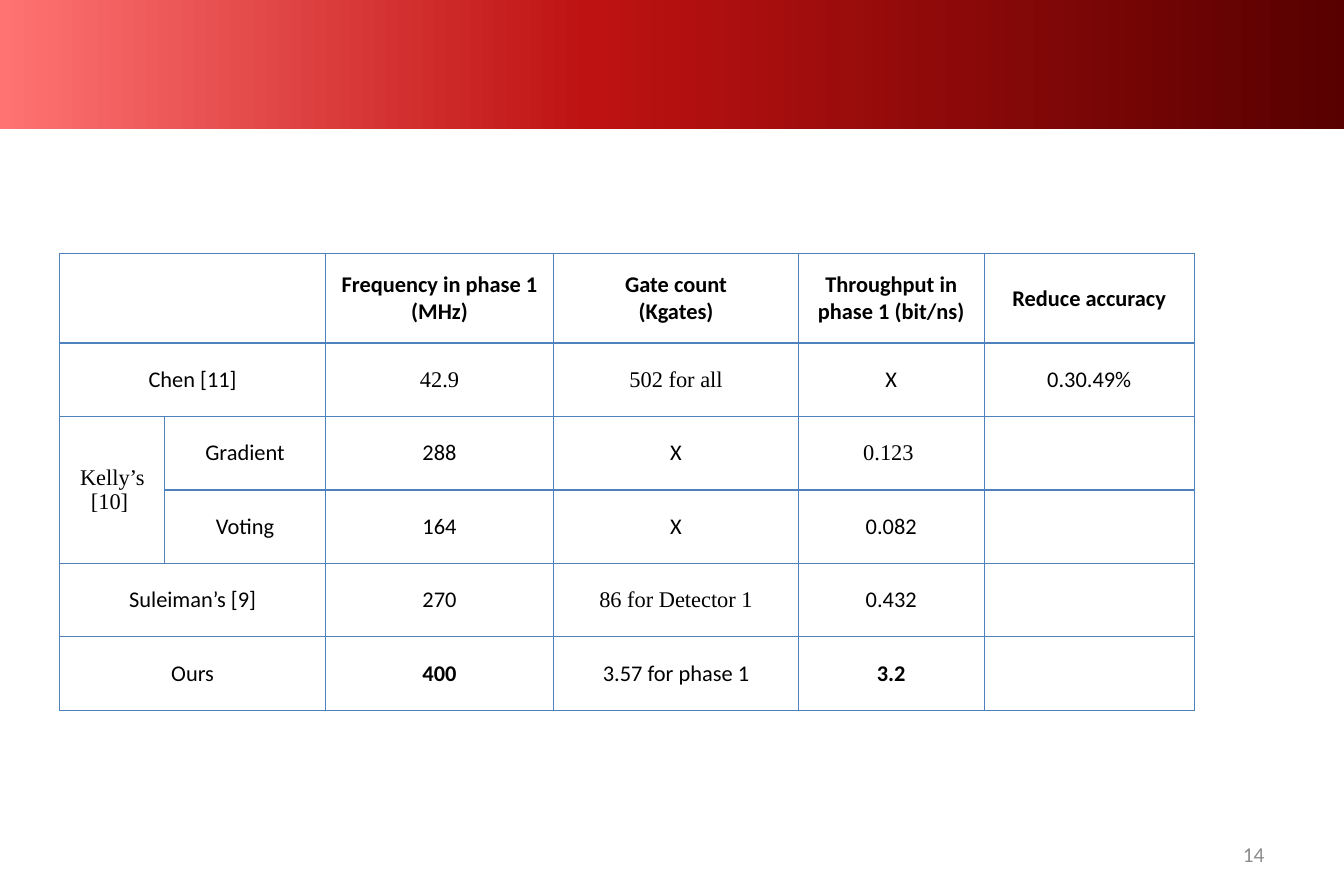
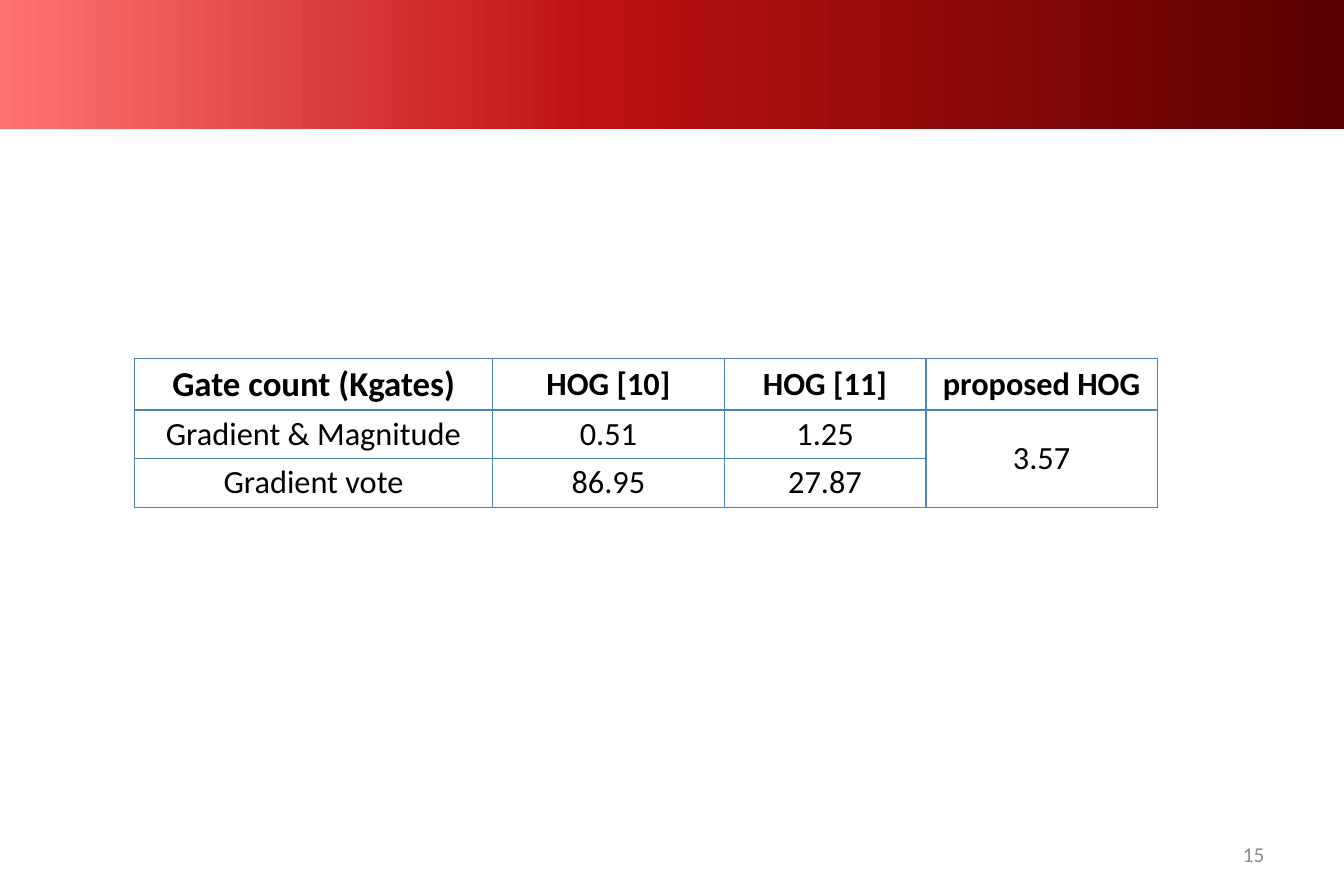
from lxml.etree import SubElement
from pptx import Presentation
from pptx.dml.color import RGBColor
from pptx.enum.shapes import MSO_SHAPE
from pptx.enum.text import MSO_ANCHOR, PP_ALIGN
from pptx.oxml.ns import qn
from pptx.util import Cm, Pt

RECTANGLE = MSO_SHAPE.RECTANGLE
MIDDLE = MSO_ANCHOR.MIDDLE
CENTER, RIGHT = PP_ALIGN.CENTER, PP_ALIGN.RIGHT

# Shared look
COLORS = {
    "band_light": "FF7373",
    "band_mid": "BE1212",
    "band_dark": "580000",
    "border": "4F81BD",
    "cell": "FFFFFF",
    "text": "000000",
    "number": "8C8C8C",
}
BAND_STOPS = ((0, "band_light"), (44, "band_mid"), (100, "band_dark"))
SANS, SERIF = "Calibri", "Times New Roman"
SLIDE_WIDTH, SLIDE_HEIGHT = Cm(38.1), Cm(25.4)
BAND_HEIGHT = Cm(3.66)
THIN, THICK = Pt(1), Pt(1.5)

# Content: None marks a cell covered by a merge, "\n" a new paragraph
COMPARISON = {
    "position": (1.7, 7.19),
    "columns": (2.97, 4.55, 6.48, 6.93, 5.27, 5.96),
    "row_heights": (2.54, 2.08),
    "size": 18,
    "rows": (
        ("", None, "Frequency in phase 1 (MHz)", "Gate count\n(Kgates)",
         "Throughput in phase 1 (bit/ns)", "Reduce accuracy"),
        ("Chen [11]", None, "42.9", "502 for all", "X", "0.30.49%"),
        ("Kelly’s [10] ", "Gradient", "288", "X", "0.123 ", ""),
        (None, "Voting", "164", "X", "0.082", ""),
        ("Suleiman’s [9]", None, "270", "86 for Detector 1", "0.432", ""),
        ("Ours", None, "400", "3.57 for phase 1", "3.2", ""),
    ),
    "merges": (((0, 0), (0, 1)), ((1, 0), (1, 1)), ((2, 0), (3, 0)),
               ((4, 0), (4, 1)), ((5, 0), (5, 1))),
    "formats": {
        (1, 2): {"name": SERIF},
        (1, 3): {"name": SERIF},
        (2, 0): {"name": SERIF},
        (2, 4): {"name": SERIF},
        (4, 3): {"name": SERIF},
        (5, 2): {"bold": True},
        (5, 4): {"bold": True},
    },
}
GATE_COUNTS = {
    "position": (3.81, 10.16),
    "columns": (10.16, 6.56, 5.72, 6.56),
    "row_heights": (1.46, 1.38),
    "size": 26,
    "rows": (
        ("Gate count (Kgates)", "HOG [10]", "HOG [11]", "proposed HOG"),
        ("Gradient & Magnitude", "0.51", "1.25", "3.57"),
        ("Gradient vote", "86.95", "27.87", None),
    ),
    "merges": (((1, 3), (2, 3)),),
    "formats": {(0, 0): {"size": Pt(28)}},
}
SLIDES = ((14, COMPARISON), (15, GATE_COUNTS))


def rgb(color):
    return RGBColor.from_string(COLORS[color])


def write_text(text_frame, text, alignment, color, font_format):
    """Write one paragraph per line, all in the same format."""
    for index, line in enumerate(text.split("\n")):
        paragraph = text_frame.paragraphs[0] if index == 0 else text_frame.add_paragraph()
        paragraph.alignment = alignment
        run = paragraph.add_run()
        run.text = line
        run.font.color.rgb = rgb(color)
        for name, value in font_format.items():
            setattr(run.font, name, value)


def clear_layout(layout):
    """Remove the layout's unused date, footer and number placeholders."""
    for placeholder in list(layout.placeholders):
        layout.shapes.element.remove(placeholder.element)


def add_layout_band(slide, layout):
    """Draw the header band and move it to the layout that all slides use."""
    band = slide.shapes.add_shape(RECTANGLE, 0, 0, SLIDE_WIDTH, BAND_HEIGHT)
    band.shadow.inherit = False
    band.line.fill.background()
    band.fill.gradient()
    band.fill.gradient_angle = 0
    stop_list = next(band.element.iter(qn("a:gsLst")))
    stop_list.clear()
    for percent, color in BAND_STOPS:
        stop = SubElement(stop_list, qn("a:gs"), pos=str(percent * 1000))
        SubElement(stop, qn("a:srgbClr"), val=COLORS[color])
    layout.shapes.element.append(band.element)


def add_slide_number(slide, number):
    box = slide.shapes.add_textbox(Cm(27.3), Cm(23.55), Cm(8.9), Cm(1.35))
    frame_format = {
        "word_wrap": True, "vertical_anchor": MIDDLE,
        "margin_left": Cm(0.36), "margin_right": Cm(0.36),
        "margin_top": Cm(0.18), "margin_bottom": Cm(0.18),
    }
    for name, value in frame_format.items():
        setattr(box.text_frame, name, value)
    write_text(box.text_frame, str(number), RIGHT, "number",
               {"name": SANS, "size": Pt(17)})


def set_borders(cell, row):
    """Outline a cell; the rule below the header row is thicker."""
    widths = {
        "a:lnL": THIN,
        "a:lnR": THIN,
        "a:lnT": THICK if row == 1 else THIN,
        "a:lnB": THICK if row == 0 else THIN,
    }
    properties = cell._tc.get_or_add_tcPr()
    for tag, width in widths.items():
        line = SubElement(properties, qn(tag), w=str(int(width)))
        fill = SubElement(line, qn("a:solidFill"))
        SubElement(fill, qn("a:srgbClr"), val=COLORS["border"])


def add_data_table(slide, data):
    rows, columns = data["rows"], data["columns"]
    header_height, body_height = data["row_heights"]
    left, top = data["position"]
    height = header_height + body_height * (len(rows) - 1)
    table = slide.shapes.add_table(
        len(rows), len(columns), Cm(left), Cm(top), Cm(sum(columns)), Cm(height)).table
    table.horz_banding = False
    for column, width in zip(table.columns, columns):
        column.width = Cm(width)

    for row, texts in enumerate(rows):
        table.rows[row].height = Cm(body_height if row else header_height)
        for column, text in enumerate(texts):
            cell = table.cell(row, column)
            set_borders(cell, row)
            cell.fill.solid()
            cell.fill.fore_color.rgb = rgb("cell")
            cell.vertical_anchor = MIDDLE
            if text:
                font_format = {"name": SANS, "size": Pt(data["size"]), "bold": row == 0}
                font_format.update(data["formats"].get((row, column), {}))
                write_text(cell.text_frame, text, CENTER, "text", font_format)

    for first, last in data["merges"]:
        table.cell(*first).merge(table.cell(*last))


def main():
    presentation = Presentation()
    presentation.slide_width, presentation.slide_height = SLIDE_WIDTH, SLIDE_HEIGHT
    layout = presentation.slide_layouts.get_by_name("Blank")
    clear_layout(layout)

    for number, data in SLIDES:
        slide = presentation.slides.add_slide(layout)
        add_slide_number(slide, number)
        add_data_table(slide, data)
    add_layout_band(slide, layout)

    presentation.save("out.pptx")


main()
